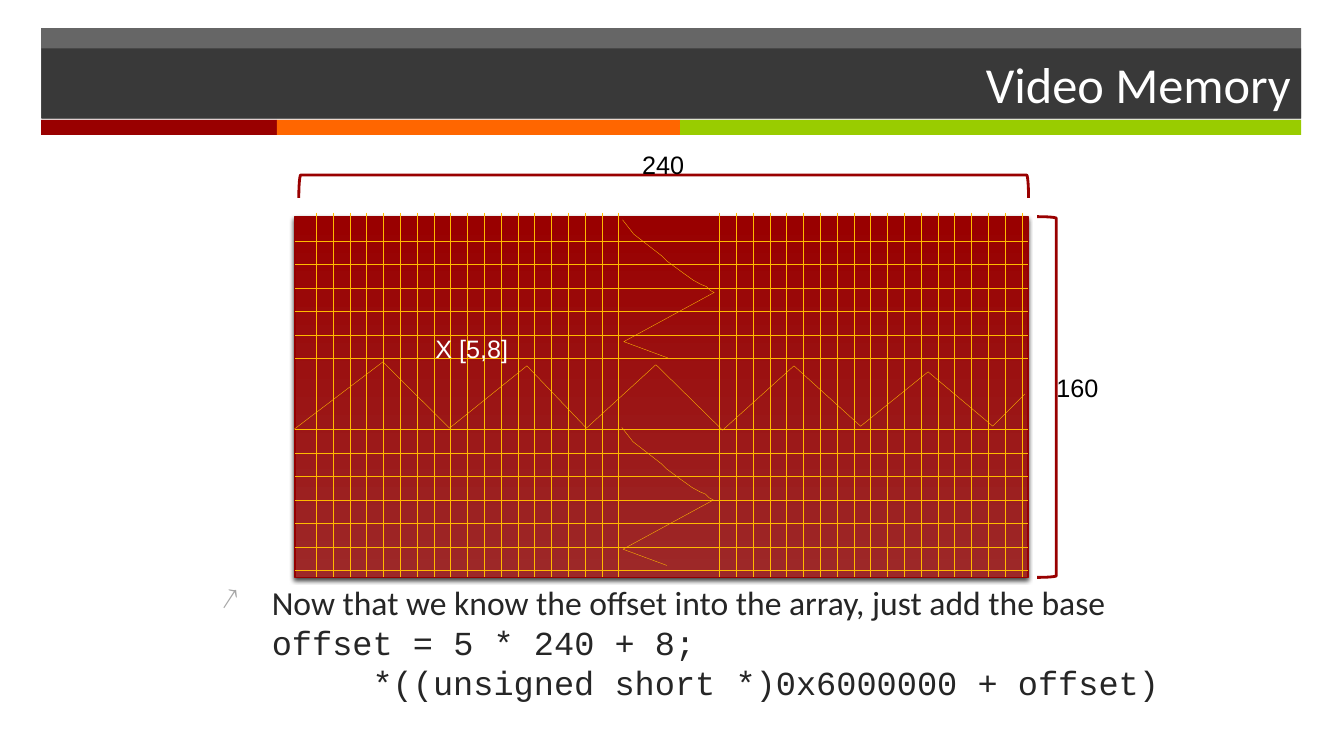
from lxml import etree
from pptx import Presentation
from pptx.dml.color import RGBColor
from pptx.enum.shapes import MSO_CONNECTOR, MSO_SHAPE
from pptx.enum.text import MSO_ANCHOR, PP_ALIGN
from pptx.oxml import parse_xml
from pptx.oxml.ns import nsdecls, qn
from pptx.util import Cm, Pt

RECT, RIGHT_BRACKET, LEFT_BRACKET = (
    MSO_SHAPE.RECTANGLE, MSO_SHAPE.RIGHT_BRACKET, MSO_SHAPE.LEFT_BRACKET)
STRAIGHT = MSO_CONNECTOR.STRAIGHT
LEFT, CENTER, RIGHT = PP_ALIGN.LEFT, PP_ALIGN.CENTER, PP_ALIGN.RIGHT
MIDDLE = MSO_ANCHOR.MIDDLE
TITLE_ONLY = 5

COLORS = {
    "band": "262626", "red": "990000", "orange": "FF6600", "green": "99CC00",
    "screen_low": "9D2828", "screen_edge": "960000", "grid": "FFBA00",
    "bullet": "A6A6A6", "text": "262626", "black": "000000", "white": "FFFFFF",
}

# Break marks, in cm from the corner of the part they belong to
WAVE = [(-0.03, 5.36), (2.21, 3.66), (3.89, 5.33), (5.84, 3.76), (7.34, 5.33),
        (9.09, 3.73), (10.77, 5.38), (12.57, 3.76), (14.25, 5.28),
        (15.95, 3.91), (17.58, 5.28), (18.39, 4.47)]
ZIGZAG = [(0, 0), (0.18, 0.23), (0.28, 0.36), (0.99, 0.91), (1.12, 1.04),
          (1.5, 1.32), (1.78, 1.52), (1.98, 1.63), (2.11, 1.68), (2.21, 1.78),
          (2.31, 1.83), (0.03, 3.07), (1.14, 3.48)]


def rgb(name):
    return RGBColor.from_string(COLORS[name])


def style_font(run, font_name, size, color):
    run.font.name = font_name
    run.font.size = Pt(size)
    run.font.color.rgb = rgb(color)


def style_line(shape, color, width):
    shape.line.color.rgb = rgb(color)
    shape.line.width = Pt(width)


def fill_band(shape, color, opacity=100):
    shape.fill.solid()
    shape.fill.fore_color.rgb = rgb(color)
    shape.line.fill.background()
    if opacity < 100:
        color_xml = shape._element.spPr.find(qn("a:solidFill"))[0]
        etree.SubElement(color_xml, qn("a:alpha"), val=str(opacity * 1000))


def add_preset(slide, preset, left, top, width, height):
    shape = slide.shapes.add_shape(preset, Cm(left), Cm(top), Cm(width), Cm(height))
    shape.shadow.inherit = False
    return shape


def add_bracket(slide, preset, left, top, width, height):
    bracket = add_preset(slide, preset, left, top, width, height)
    bracket.fill.background()
    style_line(bracket, "red", 2)
    return bracket


def add_label(slide, text, left, top, width, color="black", align=LEFT):
    label = slide.shapes.add_textbox(Cm(left), Cm(top), Cm(width), Cm(1.02))
    label.text_frame.word_wrap = True
    paragraph = label.text_frame.paragraphs[0]
    paragraph.text = text
    paragraph.alignment = align
    style_font(paragraph.runs[0], "Arial", 18, color)


def add_grid_line(slide, x1, y1, x2, y2):
    line = slide.shapes.add_connector(STRAIGHT, Cm(x1), Cm(y1), Cm(x2), Cm(y2))
    style_line(line, "grid", 0.25)
    etree.SubElement(line._element.spPr, qn("a:effectLst"))


def add_break_mark(slide, left, top, points):
    corners = [(Cm(left + x), Cm(top + y)) for x, y in points]
    builder = slide.shapes.build_freeform(*corners[0])
    builder.add_line_segments(corners[1:], close=False)
    mark = builder.convert_to_shape()
    mark.shadow.inherit = False
    mark.fill.background()
    style_line(mark, "grid", 0.25)


def add_header(slide, left, top, width):
    band = add_preset(slide, RECT, left, top, width, 2.26)
    fill_band(band, "band", 70)

    # Coloured stripe under the band
    stripe_left = left
    for color, share in (("red", 5.94), ("orange", 10.16), ("green", width - 16.1)):
        stripe = add_preset(slide, RECT, stripe_left, top + 2.31, share, 0.38)
        fill_band(stripe, color)
        stripe_left += share

    # Title, in front of the band
    title = slide.shapes.title
    slide.shapes._spTree.append(title._element)
    title.left, title.top = Cm(left), Cm(top + 0.51)
    title.width, title.height = Cm(width), Cm(1.78)
    fill_band(title, "band", 70)
    title.text_frame.text = "Video Memory"
    title.text_frame.vertical_anchor = MIDDLE
    paragraph = title.text_frame.paragraphs[0]
    paragraph.alignment = RIGHT
    style_font(paragraph.runs[0], "Calibri", 36, "white")


def add_screen(slide, left, top, width, height):
    right, bottom = left + width, top + height

    # Screen area
    screen = add_preset(slide, RECT, left, top, width, height)
    screen.fill.gradient()
    screen.fill.gradient_angle = 90
    for stop, color in zip(screen.fill.gradient_stops, ("screen_low", "red")):
        stop.color.rgb = rgb(color)
    style_line(screen, "screen_edge", 1)
    effects = screen._element.spPr.find(qn("a:effectLst"))
    effects.append(parse_xml(
        f'<a:outerShdw {nsdecls("a")} blurRad="{Pt(3)}" dist="{Pt(2)}" dir="6600000"'
        f' rotWithShape="0"><a:srgbClr val="{COLORS["black"]}">'
        '<a:alpha val="75000"/></a:srgbClr></a:outerShdw>'))

    # Pixel grid, with a gap in each direction for the break marks
    for row in range(15):
        if row not in (6, 7):
            y = top + 0.61 + row * 8.31 / 14
            add_grid_line(slide, left, y, right, y)
    for column in range(43):
        if column not in range(19, 24):
            x = left + 0.53 + column * 17.78 / 42
            add_grid_line(slide, x, top - 0.1, x, bottom)

    # Dimensions
    add_bracket(slide, RIGHT_BRACKET, right + 0.23, top, 0.48, height)
    depth, span = 0.58, 18.39
    across = add_bracket(slide, LEFT_BRACKET, left + 0.09 + (span - depth) / 2,
                         top - 1.05 - (span - depth) / 2, depth, span)
    across.rotation = 90
    add_label(slide, "240", left + 7.95, top - 1.83, 2.64, align=CENTER)
    add_label(slide, "160", right + 0.46, top + 3.79, 2.64)
    add_label(slide, "X [5,8]", left + 3.28, top + 2.82, 2.41, "white")

    # Break marks
    add_break_mark(slide, left, top, WAVE)
    add_break_mark(slide, left + 8.25, top + 0.08, ZIGZAG)
    add_break_mark(slide, left + 8.23, top + 5.31, ZIGZAG)


def add_explanation(slide, left, top, width, height):
    box = slide.shapes.add_textbox(Cm(left), Cm(top), Cm(width), Cm(height))
    box.text_frame.word_wrap = True
    paragraph = box.text_frame.paragraphs[0]
    paragraph.text = ("Now that we know the offset into the array, just add the base\v"
                      "offset = 5 * 240 + 8;\v"
                      "\t\t*((unsigned short *)0x6000000 + offset)")
    paragraph.space_before = Pt(20)
    sentence, *code = paragraph.runs
    style_font(sentence, "Calibri", 24, "text")
    for code_line in code:
        style_font(code_line, "Courier New", 24, "text")

    # Arrow bullet with hanging indent
    properties = paragraph._p.get_or_add_pPr()
    properties.set("marL", str(Cm(1.27)))
    properties.set("indent", str(-Cm(1.27)))
    bullet_color = etree.SubElement(properties, qn("a:buClr"))
    etree.SubElement(bullet_color, qn("a:srgbClr"), val=COLORS["bullet"])
    etree.SubElement(properties, qn("a:buSzPct"), val="90000")
    etree.SubElement(properties, qn("a:buChar"), char="↗")


def main():
    presentation = Presentation()
    presentation.slide_width, presentation.slide_height = Cm(33.87), Cm(19.05)
    slide = presentation.slides.add_slide(presentation.slide_layouts[TITLE_ONLY])
    add_header(slide, 1.04, 0.71, 31.75)
    add_explanation(slide, 5.33, 14.53, 27.48, 4.32)
    add_screen(slide, 7.44, 5.46, 18.47, 9.09)
    presentation.save("out.pptx")


if __name__ == "__main__":
    main()
